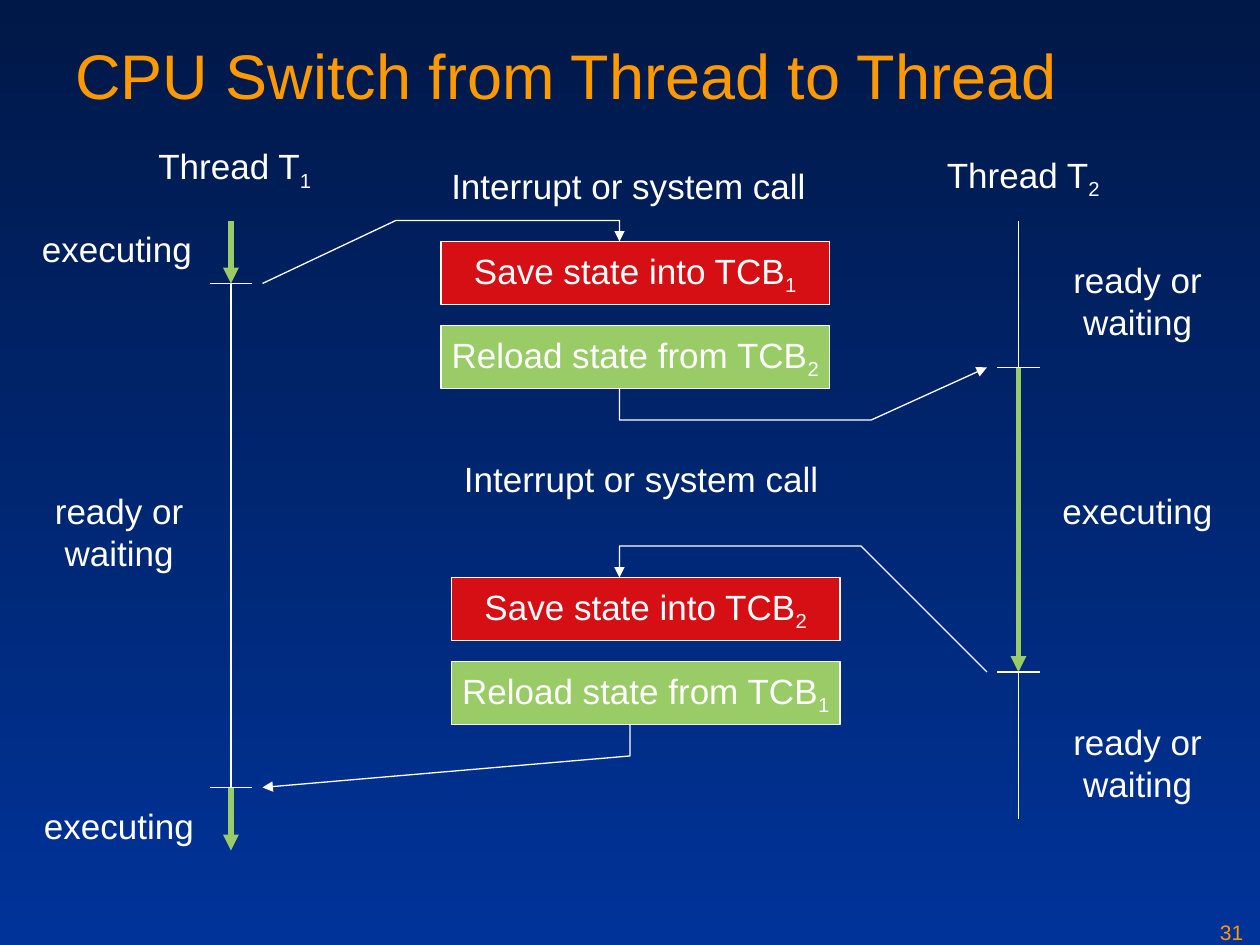
import pptx
import pptx.dml.color
import pptx.enum.shapes
import pptx.enum.text
import pptx.oxml.ns
import pptx.util
from lxml import etree

THEME = {
    "font": "Arial", "top": "001847", "bottom": "003399",
    "title": "FE9900", "ink": "FFFFFF", "run": "99CC66", "save": "D50F14",
    "title_size": 36, "body_size": 20, "number_size": 12,
    "thin": 0.75, "thick": 3,
}

COLUMNS, ROWS = 120, 90
UNIT = pptx.util.Inches(10) // COLUMNS
TICK = 2
LINE_SIZE, HEADING_SIZE, PAIR_SIZE = (16.7, 5.3), (17, 5.8), (14.7, 9.2)
CALL_SIZE, STEP_SIZE = (36.2, 5.3), (37, 6)

EXECUTING, WAITING = "executing", "ready or\nwaiting"
THREADS = [
    {"name": ("Thread T", "1"), "name_at": (13.9, 13.2), "column": 22,
     "bounds": (21, 27, 75, 81),
     "states": [(EXECUTING, 2.8, 21.1), (WAITING, 4, 46), (EXECUTING, 3, 76)]},
    {"name": ("Thread T", "2"), "name_at": (89, 14), "column": 97,
     "bounds": (21, 35, 64, 78),
     "states": [(WAITING, 101, 24), (EXECUTING, 100, 46), (WAITING, 101, 68)]},
]
SWITCHES = [
    {"call_at": (41.8, 15.1), "left": 42, "top": 23, "saved": "1", "loaded": "2",
     "enter": [(25, 27), (37.7, 21), (59, 21), (59, 23)],
     "leave": [(59, 37), (59, 40), (83, 40), (94, 35)]},
    {"call_at": (43, 43), "left": 43, "top": 55, "saved": "2", "loaded": "1",
     "enter": [(94, 64), (82, 52), (59, 52), (59, 55)],
     "leave": [(60, 69), (60, 72), (25, 75)]},
]
STEP_PITCH = 8


def color(name):
    return pptx.dml.color.RGBColor.from_string(THEME[name])


def grid(*values):
    return [pptx.util.Emu(round(value * UNIT)) for value in values]


def write(shape, text, subscript="", size="body_size", ink="ink", centered=False):
    frame = shape.text_frame
    para = frame.paragraphs[0]
    para.text = text
    if subscript:
        span = para.add_run()
        span.text = subscript
        span._r.get_or_add_rPr().set("baseline", "-25000")
    align = pptx.enum.text.PP_ALIGN
    para.alignment = align.CENTER if centered else align.LEFT
    for span in para.runs:
        span.font.name = THEME["font"]
        span.font.size = pptx.util.Pt(THEME[size])
        span.font.color.rgb = color(ink)
    frame.word_wrap = False


def add_label(slide, place, extent, text, subscript="", fixed=False, **style):
    box = slide.shapes.add_textbox(*grid(*place, *extent))
    write(box, text, subscript, **style)
    fit = pptx.enum.text.MSO_AUTO_SIZE
    box.text_frame.auto_size = fit.NONE if fixed else fit.SHAPE_TO_FIT_TEXT
    box.text_frame.word_wrap = fixed


def draw_stroke(shape, ink="ink", width="thin", arrow=False):
    shape.line.color.rgb = color(ink)
    shape.line.width = pptx.util.Pt(THEME[width])
    if arrow:
        outline = shape.line._get_or_add_ln()
        etree.SubElement(outline, pptx.oxml.ns.qn("a:tailEnd"), type="triangle")


def add_line(slide, start, end, **style):
    line = slide.shapes.add_connector(
        pptx.enum.shapes.MSO_CONNECTOR.STRAIGHT, *grid(*start, *end))
    draw_stroke(line, **style)
    etree.SubElement(line._element.spPr, pptx.oxml.ns.qn("a:effectLst"))


def add_route(slide, points):
    start, *rest = [grid(*point) for point in points]
    builder = slide.shapes.build_freeform(*start)
    builder.add_line_segments(rest, close=False)
    route = builder.convert_to_shape()
    route.shadow.inherit = False
    route.fill.background()
    draw_stroke(route, arrow=True)


def add_step(slide, left, top, text, subscript, fill):
    step = slide.shapes.add_shape(
        pptx.enum.shapes.MSO_SHAPE.RECTANGLE, *grid(left, top, *STEP_SIZE))
    step.shadow.inherit = False
    step.fill.solid()
    step.fill.fore_color.rgb = color(fill)
    draw_stroke(step)
    write(step, text, subscript, centered=True)
    step.text_frame.vertical_anchor = pptx.enum.text.MSO_ANCHOR.MIDDLE


def add_thread(slide, thread):
    column, bounds = thread["column"], thread["bounds"]
    add_label(slide, thread["name_at"], HEADING_SIZE, *thread["name"])
    for (state, left, top), start, end in zip(thread["states"], bounds, bounds[1:]):
        running = state == EXECUTING
        add_label(slide, (left, top), LINE_SIZE if running else PAIR_SIZE,
                  state, centered=not running)
        style = {"ink": "run", "width": "thick", "arrow": True} if running else {}
        add_line(slide, (column, start), (column, end), **style)
    for row in bounds[1:-1]:
        add_line(slide, (column - TICK, row), (column + TICK, row))


def add_switch(slide, switch):
    left, top = switch["left"], switch["top"]
    add_label(slide, switch["call_at"], CALL_SIZE, "Interrupt or system call")
    add_step(slide, left, top, "Save state into TCB", switch["saved"], "save")
    add_step(slide, left, top + STEP_PITCH, "Reload state from TCB",
             switch["loaded"], "run")
    add_route(slide, switch["enter"])
    add_route(slide, switch["leave"])


def main():
    deck = pptx.Presentation()
    deck.slide_width, deck.slide_height = grid(COLUMNS, ROWS)
    page = deck.slides.add_slide(deck.slide_layouts[6])
    backdrop = page.background.fill
    backdrop.gradient()
    backdrop.gradient_angle = 270
    for stop, name, position in zip(backdrop.gradient_stops, ("top", "bottom"), (0, 1)):
        stop.color.rgb = color(name)
        stop.position = position

    add_label(page, (115, 87), (5, 3), "31", fixed=True,
              size="number_size", ink="title")
    add_label(page, (6, 2.9), (108, 15), "CPU Switch from Thread to Thread",
              fixed=True, size="title_size", ink="title")
    for thread in THREADS:
        add_thread(page, thread)
    for switch in SWITCHES:
        add_switch(page, switch)
    deck.save("out.pptx")


if __name__ == "__main__":
    main()
